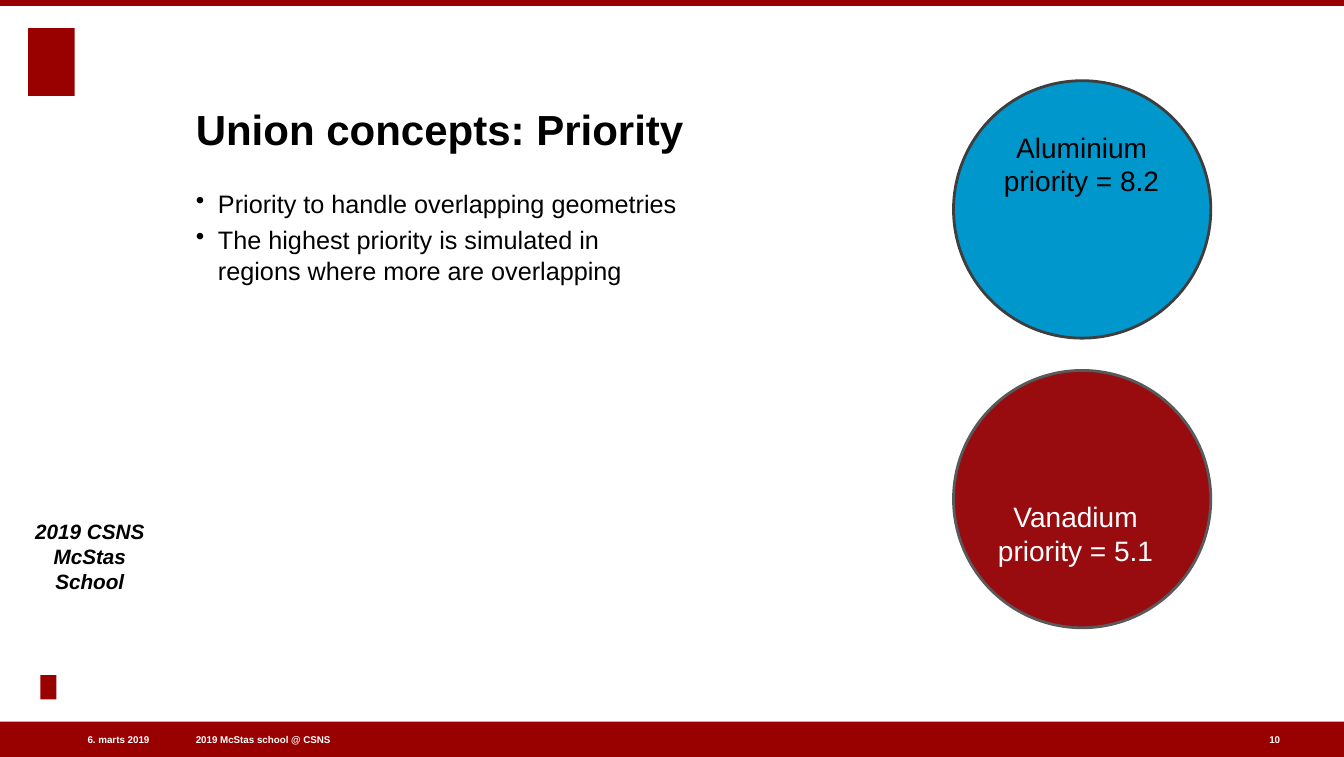
"""Builds the slide on priority between overlapping Union geometries."""
from pptx import Presentation
from pptx.dml.color import RGBColor
from pptx.enum.shapes import MSO_SHAPE
from pptx.enum.text import MSO_ANCHOR, PP_ALIGN
from pptx.oxml.ns import qn
from pptx.util import Pt
from lxml import etree

RECTANGLE, OVAL = MSO_SHAPE.RECTANGLE, MSO_SHAPE.OVAL
TOP, MIDDLE, BOTTOM = MSO_ANCHOR.TOP, MSO_ANCHOR.MIDDLE, MSO_ANCHOR.BOTTOM
LEFT, CENTER, RIGHT = PP_ALIGN.LEFT, PP_ALIGN.CENTER, PP_ALIGN.RIGHT

BLACK = RGBColor(0x00, 0x00, 0x00)
WHITE = RGBColor(0xFF, 0xFF, 0xFF)
BRAND_RED = RGBColor(0x99, 0x00, 0x00)
VANADIUM_RED = RGBColor(0x98, 0x0B, 0x0F)
VANADIUM_EDGE = RGBColor(0x59, 0x59, 0x59)
ALUMINIUM_BLUE = RGBColor(0x00, 0x97, 0xCD)
ALUMINIUM_EDGE = RGBColor(0x3E, 0x3E, 0x3E)

PX = 9144
PAGE_WIDTH, PAGE_HEIGHT = 1332, 750
TOP_BAR, FOOTER_BAR = 6, 35
CONTENT_LEFT = 194
CIRCLE_LEFT, CIRCLE_SIZE = 945, 255
LABEL_WIDTH, LABEL_HEIGHT = 192, 80
FOOTER_TEXT_TOP, FOOTER_TEXT_HEIGHT = 726, 14
BULLET_INDENT = 22

TITLE = "Union concepts: Priority"
BULLETS = [
    "Priority to handle overlapping geometries",
    "The highest priority is simulated in regions where more are overlapping",
]
EVENT = "2019 CSNS\vMcStas School"
FOOTERS = [
    ("2019 McStas school @ CSNS", CONTENT_LEFT, 372, LEFT),
    ("6. marts 2019", 27, 121, RIGHT),
    ("10", 1258, 14, LEFT),
]
MATERIALS = [
    ("Vanadium\vpriority = 5.1", 367, (970, 495), VANADIUM_RED, VANADIUM_EDGE, WHITE),
    ("Aluminium\vpriority = 8.2", 80, (976, 129), ALUMINIUM_BLUE, ALUMINIUM_EDGE, BLACK),
]
RED_BLOCKS = [
    (0, 0, PAGE_WIDTH, TOP_BAR),
    (0, PAGE_HEIGHT - FOOTER_BAR, PAGE_WIDTH, FOOTER_BAR),
    (28, 28, 46, 67),
    (40, 669, 16, 24),
]


def scaled(bounds):
    return [length * PX for length in bounds]


def add_filled(page, kind, bounds, fill, edge=None):
    shape = page.shapes.add_shape(kind, *scaled(bounds))
    shape.shadow.inherit = False
    shape.fill.solid()
    shape.fill.fore_color.rgb = fill
    if edge is None:
        shape.line.fill.background()
    else:
        shape.line.color.rgb = edge
        shape.line.width = Pt(2)


def add_bullet(para):
    properties = para._p.get_or_add_pPr()
    properties.set("marL", str(BULLET_INDENT * PX))
    properties.set("indent", str(-BULLET_INDENT * PX))
    etree.SubElement(properties, qn("a:buChar")).set("char", "•")


def add_text(page, lines, bounds, size, color=BLACK, align=LEFT, anchor=TOP,
             bold=False, italic=False, bulleted=False):
    frame = page.shapes.add_textbox(*scaled(bounds)).text_frame
    frame.word_wrap = True
    frame.vertical_anchor = anchor
    frame.margin_left = frame.margin_right = frame.margin_top = frame.margin_bottom = 0
    for index, line in enumerate(lines):
        para = frame.add_paragraph() if index else frame.paragraphs[0]
        para.text = line
        para.alignment = align
        if bulleted:
            add_bullet(para)
        if index:
            para.space_before = Pt(4)
        for span in para.runs:
            span.font.name = "Arial"
            span.font.size = Pt(size)
            span.font.bold = bold
            span.font.italic = italic
            span.font.color.rgb = color


def main():
    deck = Presentation()
    deck.slide_width, deck.slide_height = scaled((PAGE_WIDTH, PAGE_HEIGHT))
    page = deck.slides.add_slide(deck.slide_layouts[6])
    for bounds in RED_BLOCKS:
        add_filled(page, RECTANGLE, bounds, BRAND_RED)
    for text, left, width, align in FOOTERS:
        add_text(page, [text], (left, FOOTER_TEXT_TOP, width, FOOTER_TEXT_HEIGHT), 7,
                 WHITE, align, MIDDLE, bold=True)
    add_text(page, [EVENT], (34, 509, 110, 79), 14.8, align=CENTER, anchor=BOTTOM,
             bold=True, italic=True)
    add_text(page, [TITLE], (CONTENT_LEFT, 47, 1018, 106), 30, anchor=BOTTOM, bold=True)
    add_text(page, BULLETS, (CONTENT_LEFT, 187, 482, 497), 18, bulleted=True)
    for label, top, label_corner, fill, edge, color in MATERIALS:
        add_filled(page, OVAL, (CIRCLE_LEFT, top, CIRCLE_SIZE, CIRCLE_SIZE), fill, edge)
        add_text(page, [label], (*label_corner, LABEL_WIDTH, LABEL_HEIGHT), 20, color, CENTER)
    deck.save("out.pptx")


if __name__ == "__main__":
    main()
